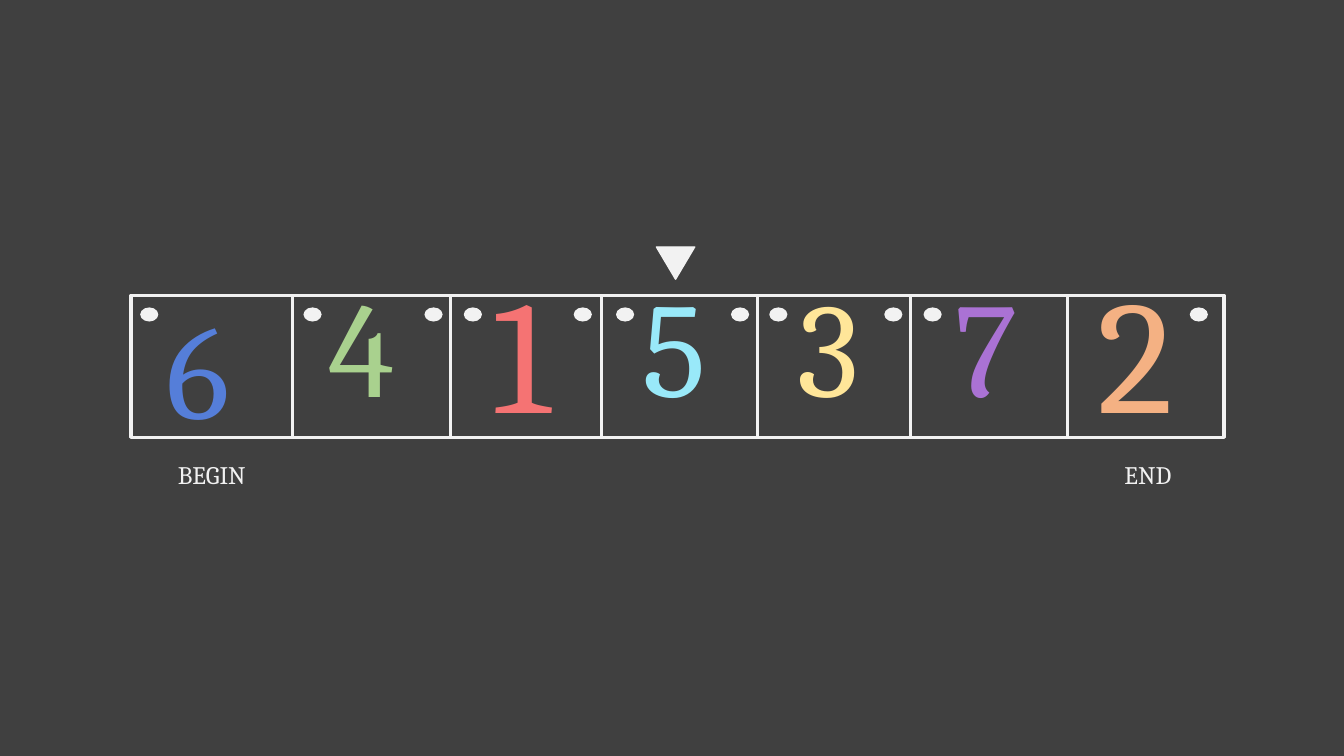
from pptx import Presentation
from pptx.dml.color import RGBColor
from pptx.enum.shapes import MSO_CONNECTOR, MSO_SHAPE
from pptx.enum.text import MSO_AUTO_SIZE, PP_ALIGN
from pptx.oxml.ns import qn
from pptx.util import Inches, Pt
from lxml import etree

BACKGROUND = RGBColor(0x40, 0x40, 0x40)
WHITE = RGBColor(0xF2, 0xF2, 0xF2)
RED = RGBColor(0xF5, 0x73, 0x73)
GREEN = RGBColor(0xA9, 0xD1, 0x8E)
BLUE = RGBColor(0x55, 0x7E, 0xD9)
ORANGE = RGBColor(0xF4, 0xB1, 0x83)
YELLOW = RGBColor(0xFF, 0xE6, 0x99)
CYAN = RGBColor(0x99, 0xE9, 0xF9)
PURPLE = RGBColor(0xAA, 0x72, 0xD4)

presentation = Presentation()
presentation.slide_width = Inches(13.33)
presentation.slide_height = Inches(7.5)
slide = presentation.slides.add_slide(presentation.slide_layouts[6])
slide.background.fill.solid()
slide.background.fill.fore_color.rgb = BACKGROUND


def add_text(text, left, top, width, height, size, color, wrap, alignment):
    box = slide.shapes.add_textbox(Inches(left), Inches(top), Inches(width), Inches(height))
    frame = box.text_frame
    frame.word_wrap = wrap
    frame.auto_size = MSO_AUTO_SIZE.SHAPE_TO_FIT_TEXT
    paragraph = frame.paragraphs[0]
    paragraph.alignment = alignment
    run = paragraph.add_run()
    run.text = text
    run.font.name = "Cambria"
    run.font.size = Pt(size)
    run.font.color.rgb = color


def add_solid(kind, left, top, width, height):
    shape = slide.shapes.add_shape(kind, Inches(left), Inches(top), Inches(width), Inches(height))
    shape.shadow.inherit = False
    shape.fill.solid()
    shape.fill.fore_color.rgb = WHITE
    shape.line.fill.background()
    return shape


array = slide.shapes.add_group_shape()
border = array.shapes.add_shape(
    MSO_SHAPE.RECTANGLE, Inches(1.3), Inches(2.93), Inches(10.84), Inches(1.41))
border.shadow.inherit = False
border.fill.background()
border.line.color.rgb = WHITE
border.line.width = Pt(2.25)

for x, top in [(2.9, 2.93), (4.47, 2.95), (5.97, 2.95), (7.51, 2.93), (9.03, 2.93), (10.59, 2.93)]:
    divider = array.shapes.add_connector(
        MSO_CONNECTOR.STRAIGHT, Inches(x), Inches(top), Inches(x), Inches(top + 1.41))
    divider.line.color.rgb = WHITE
    divider.line.width = Pt(2.25)
    etree.SubElement(divider.element.spPr, qn("a:effectLst"))

digits = [
    ("6", 1.55, 2.78, 96, BLUE),
    ("4", 3.16, 2.56, 96, GREEN),
    ("1", 4.79, 2.46, 115, RED),
    ("5", 6.27, 2.56, 96, CYAN),
    ("3", 7.81, 2.56, 96, YELLOW),
    ("7", 9.37, 2.56, 96, PURPLE),
    ("2", 10.79, 2.46, 115, ORANGE),
]
for digit, left, top, size, color in digits:
    height = 2.04 if size == 115 else 1.72
    add_text(digit, left, top, 1.15, height, size, color, True, PP_ALIGN.LEFT)

pointer = add_solid(MSO_SHAPE.ISOSCELES_TRIANGLE, 6.51, 2.45, 0.38, 0.32)
pointer.rotation = 180
pointer.line.color.rgb = WHITE
pointer.line.width = Pt(1)

for label, left, width in [("BEGIN", 1.6, 1), ("END", 11.01, 0.75)]:
    add_text(label, left, 4.51, width, 0.4, 18, WHITE, False, PP_ALIGN.CENTER)

for left in [1.39, 3.01, 4.21, 4.6, 5.69, 6.11, 7.25, 7.63, 8.77, 9.16, 11.8]:
    add_solid(MSO_SHAPE.FLOWCHART_CONNECTOR, left, 3.05, 0.18, 0.14)

presentation.save("out.pptx")
